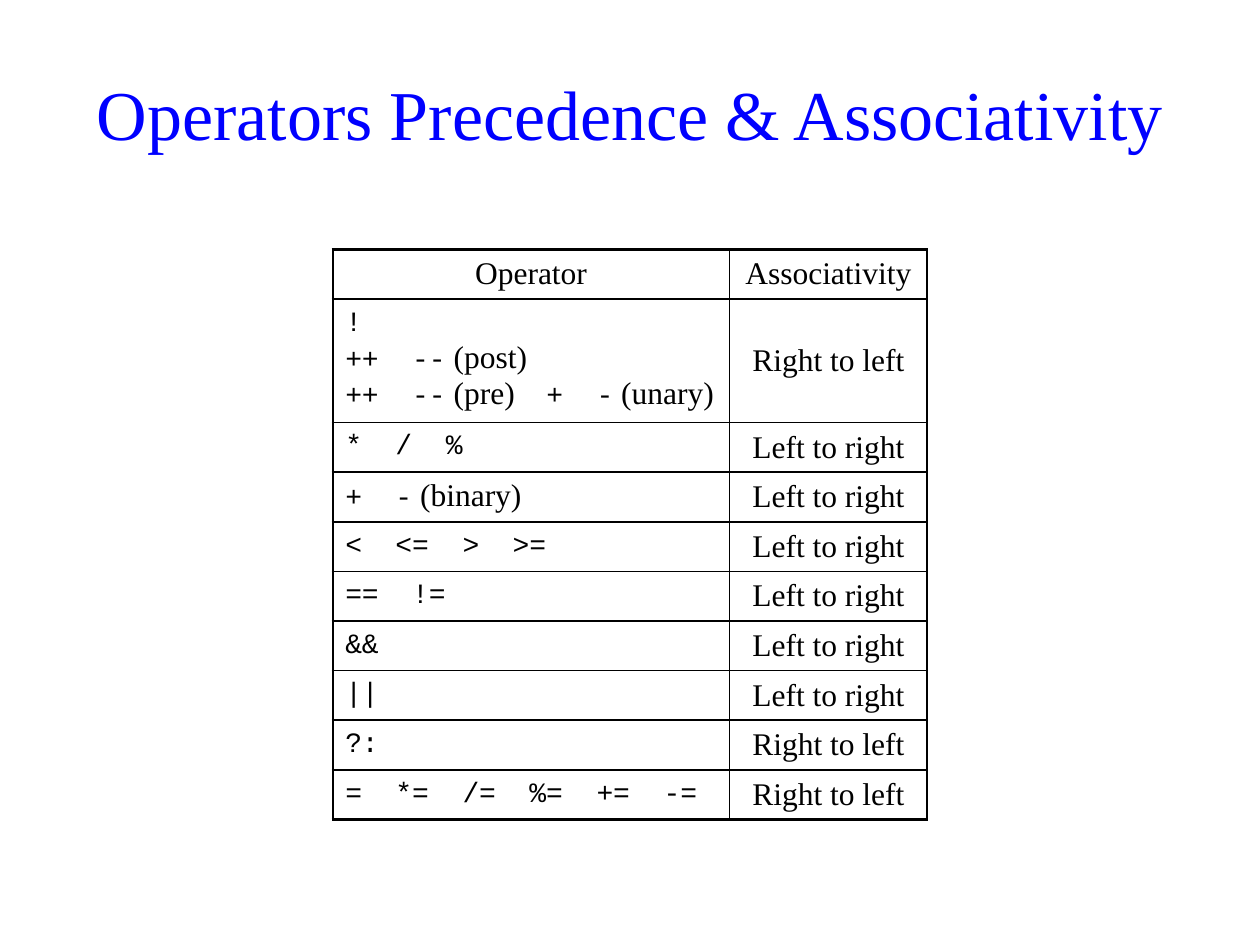
from lxml import etree
from pptx import Presentation
from pptx.dml.color import RGBColor
from pptx.enum import text
from pptx.oxml.ns import qn
from pptx.util import Inches, Pt

TITLE = "Operators Precedence & Associativity"
HEAD = ("Operator", "Associativity")
LEFT, RIGHT = "Left to right", "Right to left"
# Each line of operators alternates between code and plain words.
ROWS = [
    ([["!"],
      ["++  --", " (post)"],
      ["++  --", " (pre)    ", "+  -", " (unary)"]], RIGHT),
    ([["*  /  %"]], LEFT),
    ([["+  -", " (binary)"]], LEFT),
    ([["<  <=  >  >="]], LEFT),
    ([["==  !="]], LEFT),
    ([["&&"]], LEFT),
    ([["||"]], LEFT),
    ([["?:"]], RIGHT),
    ([["=  *=  /=  %=  +=  -="]], RIGHT),
]
WIDTHS = (3.15, 1.57)
LOW, TALL = 0.394, 0.98
WORDS = ("Times New Roman", 18)
CODE = ("Courier New", 16)
BLACK, BLUE = "000000", "0000FF"


def style(font, face, color=BLACK):
    font.name, size = face
    font.size = Pt(size)
    font.bold = False
    font.color.rgb = RGBColor.from_string(color)


def border(cell, sides):
    """Draw the cell's edges; sides maps L, R, T, B to widths in points."""
    props = cell._tc.get_or_add_tcPr()
    for side, width in sides.items():
        line = etree.SubElement(props, qn("a:ln" + side), w=str(Pt(width)))
        fill = etree.SubElement(line, qn("a:solidFill"))
        etree.SubElement(fill, qn("a:srgbClr"), val=BLACK)


def center(frame, words, face=WORDS, color=BLACK):
    para = frame.paragraphs[0]
    para.text = words
    para.alignment = text.PP_ALIGN.CENTER
    style(para.font, face, color)


def list_ops(frame, lines):
    for i, line in enumerate(lines):
        para = frame.add_paragraph() if i else frame.paragraphs[0]
        para.alignment = text.PP_ALIGN.LEFT
        for j, part in enumerate(line):
            run = para.add_run()
            run.text = part
            style(run.font, WORDS if j % 2 else CODE)


deck = Presentation()
deck.slide_width, deck.slide_height = Inches(10), Inches(7.5)
slide = deck.slides.add_slide(deck.slide_layouts[6])

title = slide.shapes.add_textbox(
    Inches(0.47), Inches(0.4), Inches(9.06), Inches(0.98)).text_frame
title.word_wrap = True
title.vertical_anchor = text.MSO_ANCHOR.MIDDLE
center(title, TITLE, ("Times New Roman", 40), BLUE)

heights = [LOW] + [TALL if len(ops) > 1 else LOW for ops, _ in ROWS]
table = slide.shapes.add_table(
    len(heights), len(WIDTHS), Inches(2.64), Inches(1.98),
    Inches(sum(WIDTHS)), Inches(sum(heights))).table
table.first_row = table.horz_banding = False
for col, width in zip(table.columns, WIDTHS):
    col.width = Inches(width)

last = len(heights) - 1
for r, height in enumerate(heights):
    table.rows[r].height = Inches(height)
    for c in range(len(WIDTHS)):
        cell = table.cell(r, c)
        cell.vertical_anchor = text.MSO_ANCHOR.MIDDLE
        cell.margin_left = cell.margin_right = Inches(0.1)
        cell.margin_top = cell.margin_bottom = Inches(0.04)
        outer = {"L": c == 0, "R": c == 1, "T": r == 0, "B": r == last}
        border(cell, {side: 1.5 if out else 1 for side, out in outer.items()})
        cell.fill.background()
        if r and c == 0:
            list_ops(cell.text_frame, ROWS[r - 1][0])
        else:
            center(cell.text_frame, ROWS[r - 1][1] if r else HEAD[c])

deck.save("out.pptx")
